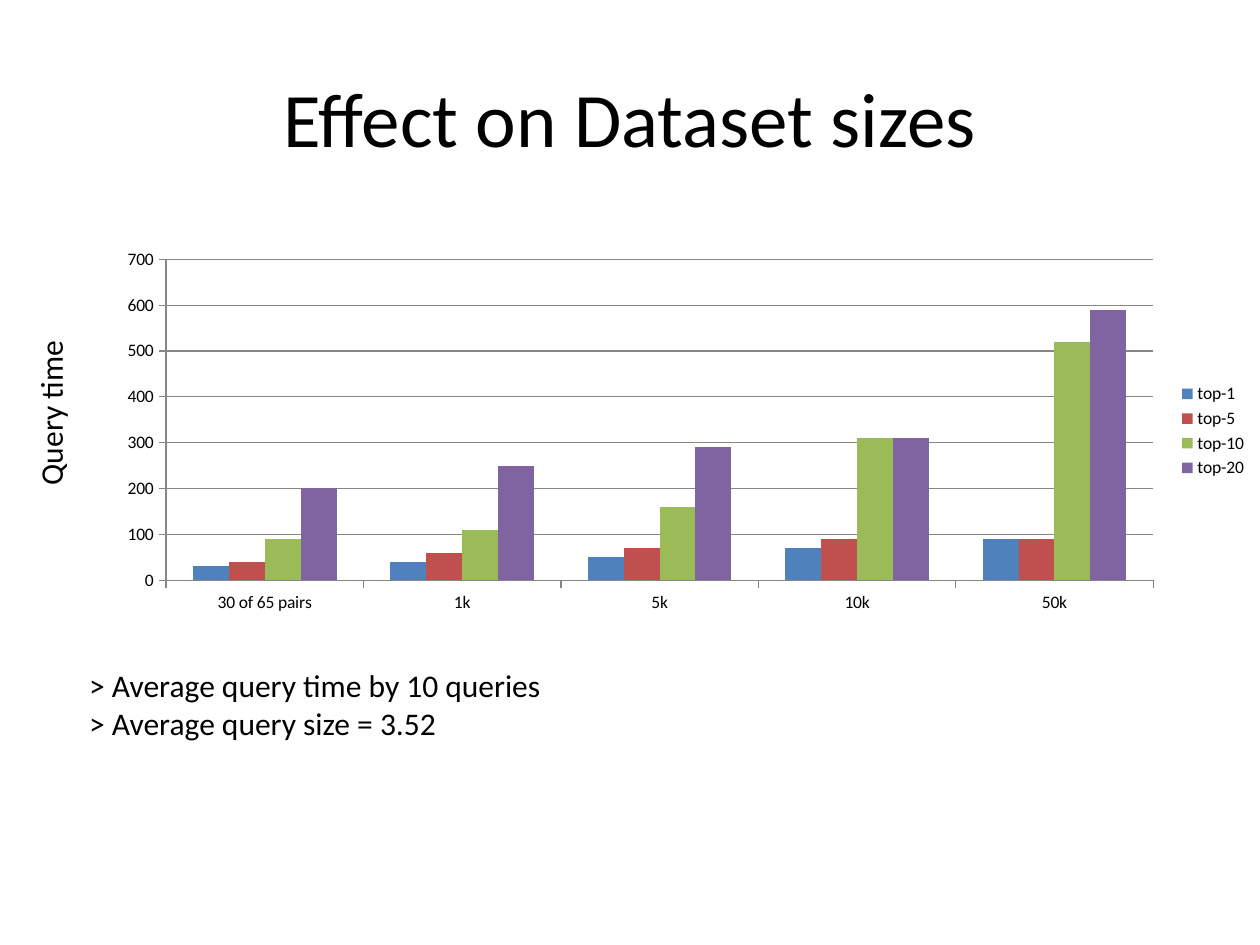
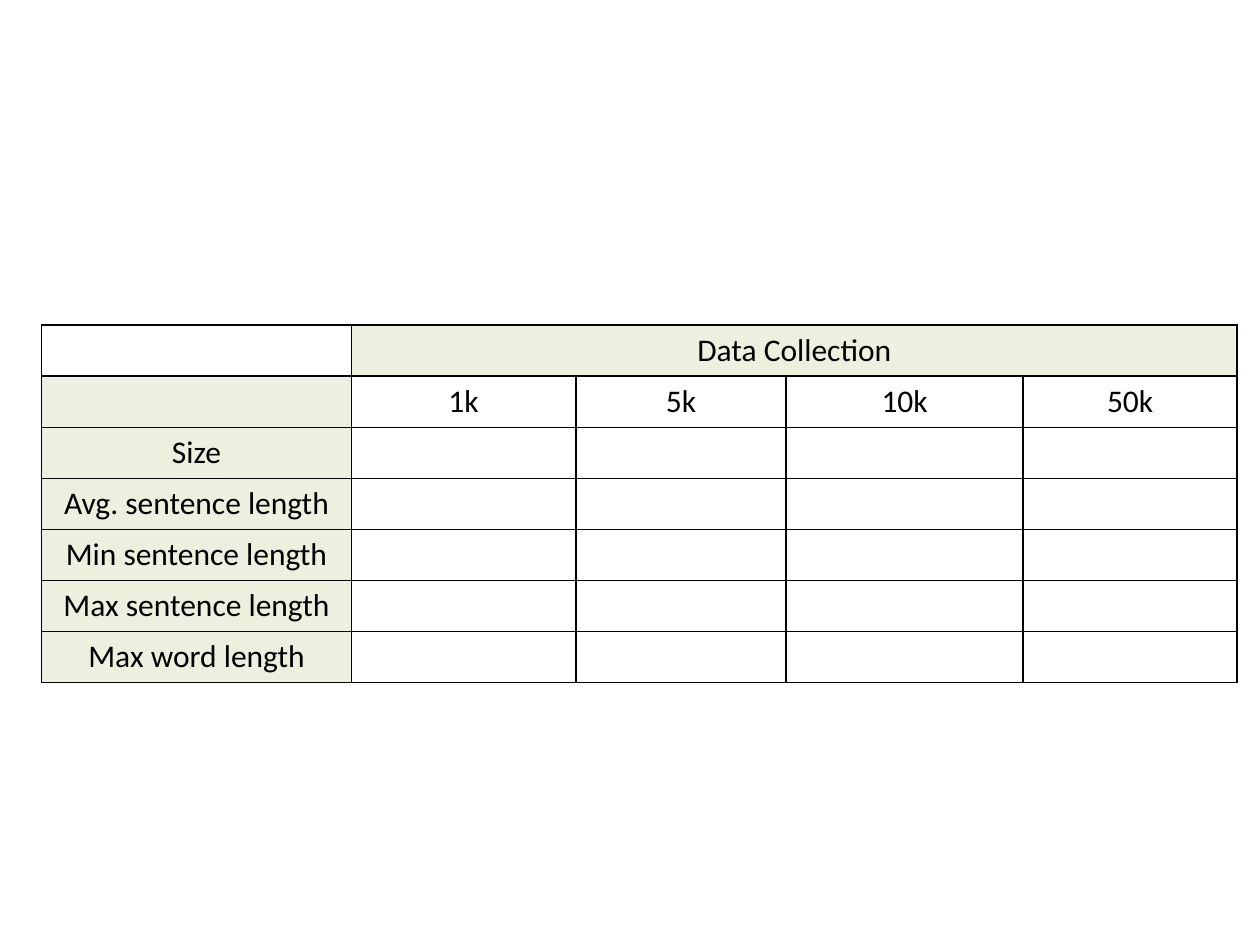
from dataclasses import dataclass

from lxml import etree
from pptx import Presentation
from pptx.chart.data import CategoryChartData
from pptx.dml.color import RGBColor
from pptx.enum.chart import XL_CHART_TYPE, XL_LEGEND_POSITION, XL_TICK_MARK
from pptx.enum.text import MSO_ANCHOR, MSO_AUTO_SIZE, PP_ALIGN
from pptx.oxml.ns import qn
from pptx.util import Inches, Pt

COLUMNS = XL_CHART_TYPE.COLUMN_CLUSTERED
LEGEND_RIGHT = XL_LEGEND_POSITION.RIGHT
TICK_OUT = XL_TICK_MARK.OUTSIDE
CENTER = PP_ALIGN.CENTER
MIDDLE = MSO_ANCHOR.MIDDLE
FIT_SHAPE = MSO_AUTO_SIZE.SHAPE_TO_FIT_TEXT
TITLE_ONLY, BLANK = 5, 6


@dataclass(frozen=True)
class Theme:
    font: str = "Calibri"
    text: str = "000000"
    background: str = "FFFFFF"
    axis: str = "868686"
    header: str = "EBF1DE"
    border: str = "000000"
    series: tuple = ("4F81BD", "C0504D", "9BBB59", "8064A2")
    title_size: int = 44
    body_size: int = 18
    chart_size: int = 10
    border_width: float = 1
    axis_width: float = 0.75


def rgb(color):
    return RGBColor.from_string(color)


class Deck:
    def __init__(self, theme):
        self.theme = theme
        self.prs = Presentation()
        self.prs.slide_width, self.prs.slide_height = Inches(10), Inches(7.5)
        self.s = None

    def slide(self, title=None):
        layout = TITLE_ONLY if title else BLANK
        self.s = self.prs.slides.add_slide(self.prs.slide_layouts[layout])
        fill = self.s.background.fill
        fill.solid()
        fill.fore_color.rgb = rgb(self.theme.background)
        if title:
            self.title(title)

    def font(self, font, size):
        font.name = self.theme.font
        font.size = Pt(size)
        font.color.rgb = rgb(self.theme.text)

    def title(self, text):
        sp = self.s.shapes.title
        sp.left, sp.top = Inches(0.5), Inches(0.3)
        sp.width, sp.height = Inches(9), Inches(1.25)
        tf = sp.text_frame
        tf.text = text
        tf.vertical_anchor = MIDDLE
        p = tf.paragraphs[0]
        p.alignment = CENTER
        self.font(p.font, self.theme.title_size)

    def text(self, lines, x, y, w, h, rotation=0):
        sp = self.s.shapes.add_textbox(Inches(x), Inches(y), Inches(w), Inches(h))
        sp.rotation = rotation
        tf = sp.text_frame
        tf.word_wrap = False
        tf.auto_size = FIT_SHAPE
        tf.text = "\n".join(lines)
        for p in tf.paragraphs:
            self.font(p.font, self.theme.body_size)

    def line(self, line):
        line.color.rgb = rgb(self.theme.axis)
        line.width = Pt(self.theme.axis_width)

    def chart(self, categories, series, x, y, w, h):
        data = CategoryChartData()
        data.categories = categories
        for name, values in series.items():
            data.add_series(name, values)
        chart = self.s.shapes.add_chart(
            COLUMNS, Inches(x), Inches(y), Inches(w), Inches(h), data).chart
        self.font(chart.font, self.theme.chart_size)
        chart.has_title = False
        chart.has_legend = True
        chart.legend.position = LEGEND_RIGHT
        chart.legend.include_in_layout = False

        plot = chart.plots[0]
        plot.vary_by_categories = False
        plot.gap_width = 150
        for bars, color in zip(plot.series, self.theme.series):
            bars.format.fill.solid()
            bars.format.fill.fore_color.rgb = rgb(color)

        for axis in (chart.category_axis, chart.value_axis):
            axis.major_tick_mark = TICK_OUT
            self.line(axis.format.line)
        chart.value_axis.has_major_gridlines = True
        self.line(chart.value_axis.major_gridlines.format.line)

    def borders(self, cell):
        tc_pr = cell._tc.get_or_add_tcPr()
        for side in ("a:lnL", "a:lnR", "a:lnT", "a:lnB"):
            ln = etree.SubElement(tc_pr, qn(side), w=str(Pt(self.theme.border_width)))
            fill = etree.SubElement(ln, qn("a:solidFill"))
            etree.SubElement(fill, qn("a:srgbClr"), val=self.theme.border)

    def cell(self, cell, text, shaded):
        self.borders(cell)
        if shaded:
            cell.fill.solid()
            cell.fill.fore_color.rgb = rgb(self.theme.header)
        else:
            cell.fill.background()
        cell.text = text
        p = cell.text_frame.paragraphs[0]
        p.alignment = CENTER
        self.font(p.font, self.theme.body_size)

    def table(self, header, columns, row_names, x, y, widths, h):
        """Draw an empty grid under one merged header, with named columns and rows."""
        rows = [["", header], ["", *columns], *([name] for name in row_names)]
        table = self.s.shapes.add_table(
            len(rows), len(widths), Inches(x), Inches(y),
            Inches(sum(widths)), Inches(h)).table
        table.first_row = table.horz_banding = False
        for column, width in zip(table.columns, widths):
            column.width = Inches(width)
        for r, texts in enumerate(rows):
            for c in range(len(widths)):
                text = texts[c] if c < len(texts) else ""
                shaded = (r == 0) != (c == 0)
                self.cell(table.cell(r, c), text, shaded)
        table.cell(0, 1).merge(table.cell(0, len(widths) - 1))


def main():
    deck = Deck(Theme())
    sizes = ["1k", "5k", "10k", "50k"]

    deck.slide("Effect on Dataset sizes")
    deck.text(["> Average query time by 10 queries", "> Average query size = 3.52"],
              0.61, 5.24, 3.83, 0.71)
    query_times = {
        "top-1": (30, 40, 50, 70, 90),
        "top-5": (40, 60, 70, 90, 90),
        "top-10": (90, 110, 160, 310, 520),
        "top-20": (200, 250, 290, 310, 590),
    }
    deck.chart(["30 of 65 pairs", *sizes], query_times, 0.83, 1.92, 9.17, 3)
    deck.text(["Query time"], -0.28, 3.07, 1.36, 0.4, rotation=270)

    deck.slide()
    measures = ["Size", "Avg. sentence length", "Min sentence length",
                "Max sentence length", "Max word length"]
    deck.table("Data Collection", sizes, measures,
               0.33, 2.58, [2.46, 1.78, 1.67, 1.88, 1.7], 2.84)

    deck.prs.save("out.pptx")


if __name__ == "__main__":
    main()
